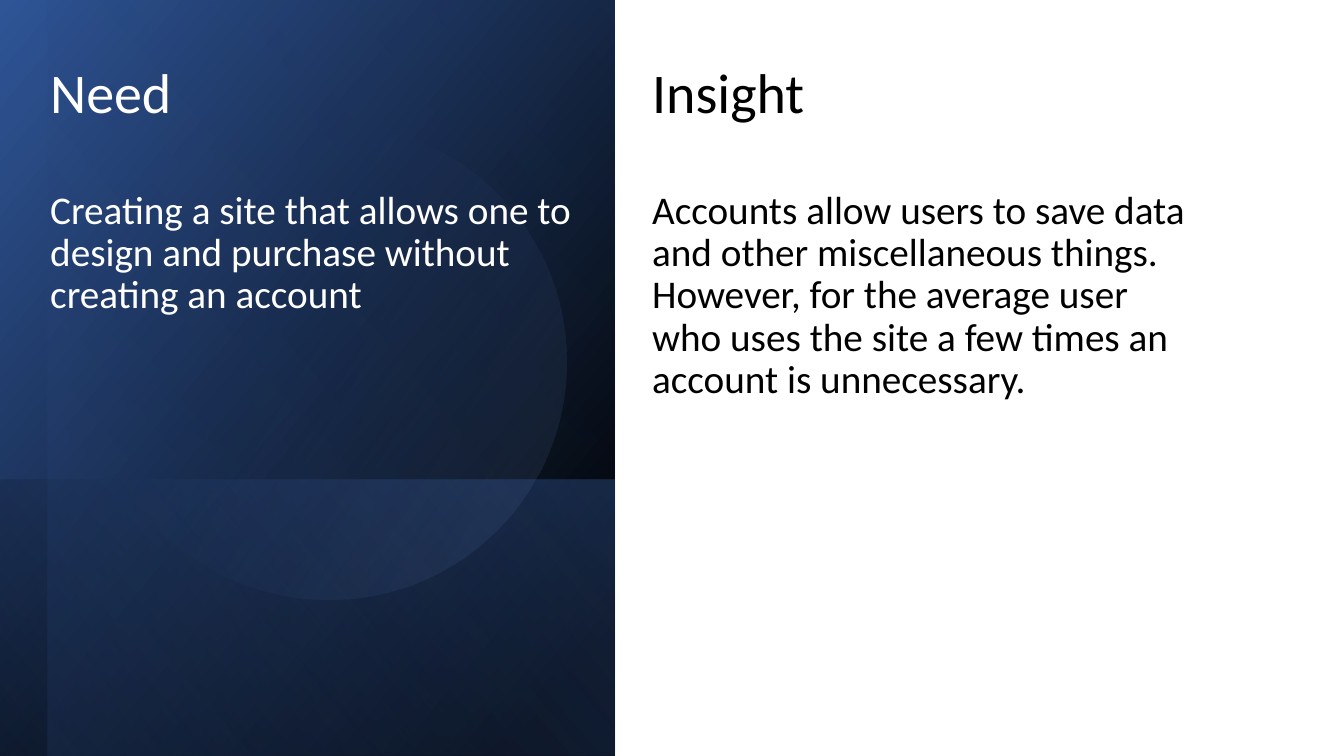
from lxml import etree
from pptx import Presentation
from pptx.dml.color import RGBColor
from pptx.enum.shapes import MSO_SHAPE
from pptx.enum.text import MSO_ANCHOR
from pptx.oxml.ns import qn
from pptx.util import Inches, Pt

RECT, OVAL = MSO_SHAPE.RECTANGLE, MSO_SHAPE.OVAL
TOP = MSO_ANCHOR.TOP
COLORS = {"black": "000000", "white": "FFFFFF", "navy": "2F5597",
          "blue": "4472C4", "light": "8FAADC"}

prs = Presentation()
prs.slide_width, prs.slide_height = Inches(13.33), Inches(7.5)
s = prs.slides.add_slide(prs.slide_layouts[6])


def add_glow(kind, box, rotation, flip, angle, stops):
    sp = s.shapes.add_shape(kind, *[Inches(v) for v in box])
    sp.shadow.inherit = False
    sp.line.fill.background()
    sp.rotation = rotation
    if flip:
        sp._element.spPr.find(qn("a:xfrm")).set("flipH", "1")
    sp.fill.gradient()
    sp.fill.gradient_angle = 360 - angle
    for stop, (position, color, opacity) in zip(sp.fill.gradient_stops, stops):
        stop.position = position / 100
        stop.color.rgb = RGBColor.from_string(COLORS[color])
        if opacity < 100:
            clr = stop._gs.find(qn("a:srgbClr"))
            etree.SubElement(clr, qn("a:alpha")).set("val", str(opacity * 1000))


def add_text(left, top, width, height, text, size, color):
    tf = s.shapes.add_textbox(Inches(left), Inches(top), Inches(width), Inches(height)).text_frame
    tf.word_wrap = True
    tf.vertical_anchor = TOP
    p = tf.paragraphs[0]
    p.line_spacing = 0.9
    p.space_before = Pt(10)
    r = p.add_run()
    r.text = text
    r.font.name = "Calibri"
    r.font.size = Pt(size)
    r.font.color.rgb = RGBColor.from_string(COLORS[color])


glows = [
    (RECT, (-0.7, 0.7, 7.5, 6.1), 90, True, 50, [(8, "black", 100), (100, "navy", 100)]),
    (RECT, (1.67, 3.08, 2.74, 6.1), 90, True, 130, [(2, "blue", 29), (100, "black", 30)]),
    (RECT, (-0.46, 0.93, 7.5, 5.63), 90, True, 130, [(0, "black", 0), (99, "blue", 11)]),
    (OVAL, (0.9, 1.23, 4.72, 4.72), 101.6, False, 290, [(39, "blue", 0), (100, "light", 15)]),
]
for glow in glows:
    add_glow(*glow)

columns = [
    (6.37, 5.67, "black", "Insight",
     "Accounts allow users to save data and other miscellaneous things. "
     "However, for the average user who uses the site a few times an account is unnecessary."),
    (0.4, 5.64, "white", "Need",
     "Creating a site that allows one to design and purchase without creating an account"),
]
for left, width, color, title, body in columns:
    add_text(left, 0.6, width, 0.9, title, 40, color)
    add_text(left, 1.84, width, 4.93, body, 28, color)

prs.save("out.pptx")
